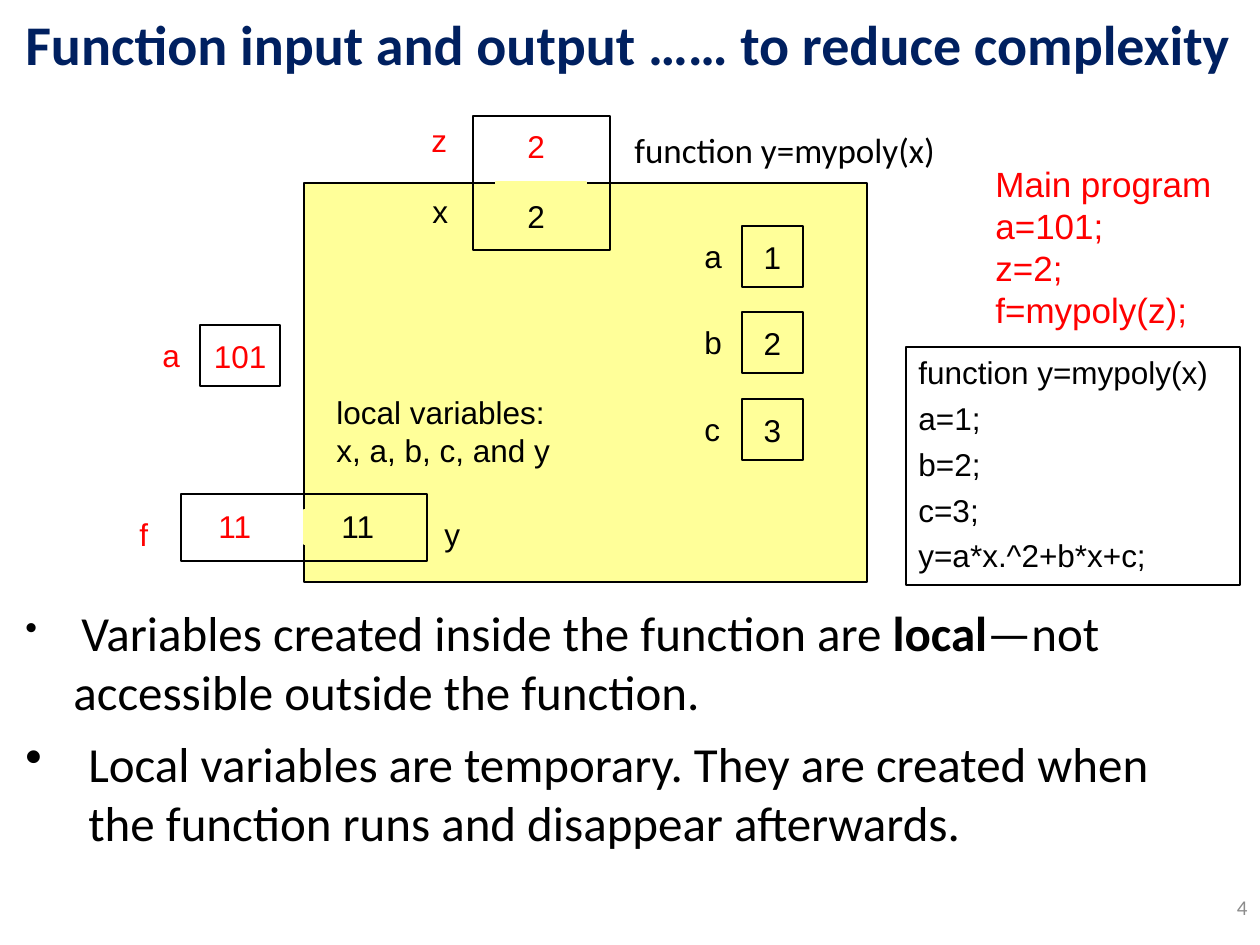
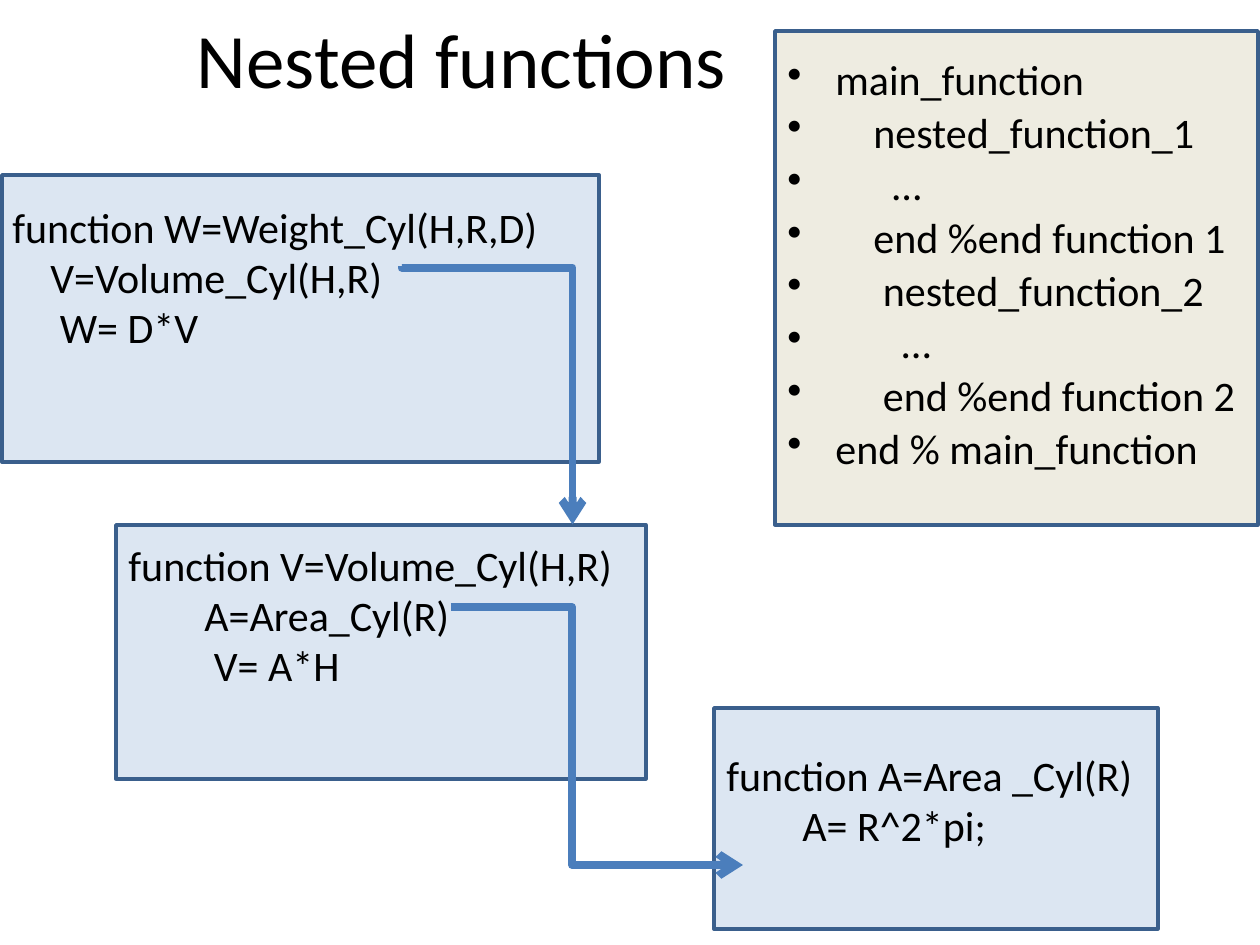
import pptx
import pptx.util
import pptx.dml.color
import pptx.enum.shapes
import pptx.enum.text
import pptx.oxml
import pptx.oxml.ns

# Shared scale, colours and fonts
SCALE = 914400 / 126
BLACK, RED, NAVY, GREY = "000000", "FF0000", "002060", "8C8C8C"
YELLOW, CREAM, PALE = "FFFF99", "EEECE1", "DCE6F2"
EDGE, ARROW = "3A5F8C", "4B7EBC"
SANS, BODY = "Arial", "Calibri"
SPACE = 9.5  # width of one code indent step
ALIGN = pptx.enum.text.PP_ALIGN
ANCHOR = pptx.enum.text.MSO_ANCHOR


def px(n):
    return pptx.util.Emu(round(n * SCALE))


def rgb(code):
    return pptx.dml.color.RGBColor.from_string(code)


def add_run(para, words, size, color, font, bold=False):
    run = para.add_run()
    run.text = words
    run.font.size = pptx.util.Pt(size)
    run.font.name = font
    run.font.bold = bold
    run.font.color.rgb = rgb(color)


def indent(para, left, hang=0, bullet=False):
    props = para._p.get_or_add_pPr()
    props.set("marL", str(px(left)))
    props.set("indent", str(-px(hang)))
    if bullet:
        mark = pptx.oxml.ns.qn("a:buChar")
        props.append(props.makeelement(mark, {"char": "•"}))


def write(shape, lines, size=18, color=BLACK, font=SANS, align=ALIGN.LEFT,
          anchor=ANCHOR.TOP, bold=False):
    """Fill a shape with one paragraph a line and return the paragraphs."""
    frame = shape.text_frame
    frame.word_wrap = True
    frame.vertical_anchor = anchor
    paras = []
    for i, line in enumerate(lines):
        para = frame.add_paragraph() if i else frame.paragraphs[0]
        para.alignment = align
        if line:
            add_run(para, line, size, color, font, bold)
        paras.append(para)
    return paras


def label(slide, box, *lines, **style):
    return write(slide.shapes.add_textbox(*map(px, box)), lines, **style)


def rect(slide, box, fill=None, line=BLACK, width=1):
    kind = pptx.enum.shapes.MSO_SHAPE.RECTANGLE
    shape = slide.shapes.add_shape(kind, *map(px, box))
    shape.shadow.inherit = False
    if fill:
        shape.fill.solid()
        shape.fill.fore_color.rgb = rgb(fill)
    else:
        shape.fill.background()
    shape.line.color.rgb = rgb(line)
    shape.line.width = pptx.util.Pt(width)
    return shape


def cell(slide, box, value, color=BLACK, fill=None):
    write(rect(slide, box, fill), [value], color=color,
          align=ALIGN.CENTER, anchor=ANCHOR.MIDDLE)


def code(paras, steps):
    for para, step in zip(paras, steps):
        indent(para, step * SPACE)


def elbow(slide, box, bend, turn=False):
    """Bent arrow; turn makes it start across and end downwards."""
    x, y, w, h = box
    kind = pptx.enum.shapes.MSO_CONNECTOR.ELBOW
    link = slide.shapes.add_connector(kind, px(x), px(y), px(x + w), px(y + h))
    link.line.color.rgb = rgb(ARROW)
    link.line.width = pptx.util.Pt(4.5)
    qn = pptx.oxml.ns.qn
    props = link._element.spPr
    if turn:
        frame = props.find(qn("a:xfrm"))
        frame.set("rot", "16200000")
        frame.set("flipH", "1")
    geom = props.find(qn("a:prstGeom"))
    guides = geom.find(qn("a:avLst"))
    guides.append(guides.makeelement(
        qn("a:gd"), {"name": "adj1", "fmla": f"val {bend}"}))
    line = props.find(qn("a:ln"))
    line.append(line.makeelement(qn("a:tailEnd"), {"type": "arrow"}))
    props.append(props.makeelement(qn("a:effectLst"), {}))


def title(slide, box, words, size, color, align, bold=False):
    label(slide, box, words, size=size, color=color, font=BODY,
          align=align, anchor=ANCHOR.MIDDLE, bold=bold)


def scope(slide):
    # Heading, page number and main program
    title(slide, (13, -35, 1247, 157),
          "Function input and output …… to reduce complexity",
          32, NAVY, ALIGN.LEFT, True)
    label(slide, (1197, 882, 63, 50), "4", size=12, color=GREY, font=BODY,
          align=ALIGN.RIGHT, anchor=ANCHOR.MIDDLE)
    label(slide, (983, 156, 253, 183), "Main program", "a=101;", "z=2;",
          "f=mypoly(z);", size=20, color=RED)

    # Function workspace with its input slot
    label(slide, (622, 122, 329, 93), "function y=mypoly(x)",
          size=20, font=BODY)
    rect(slide, (304, 183, 563, 399), YELLOW)
    for top in (116, 183):
        rect(slide, (473, top, 137, 67))
    rect(slide, (496, 182, 90, 39), YELLOW, YELLOW)
    for x, y, words, color in ((515, 121, "2", RED), (515, 191, "2", BLACK),
                               (419, 115, "z", RED), (420, 186, "x", BLACK)):
        label(slide, (x, y, 49, 50), words, color=color)

    # Local variables
    for i, name in enumerate("abc"):
        top = 226 + round(86.5 * i)
        cell(slide, (742, top, 61, 61), str(i + 1), fill=YELLOW)
        label(slide, (692, top + 5, 43, 50), name)
    label(slide, (324, 387, 346, 89), "local variables:", "x, a, b, c, and y")

    # Output slot
    for left, color in ((304, BLACK), (181, RED)):
        rect(slide, (left, 494, 123, 67))
        label(slide, (left + 25, 501, 69, 50), "11", color=color)
    rect(slide, (304, 510, 24, 34), YELLOW, YELLOW)
    label(slide, (432, 509, 49, 50), "y")
    label(slide, (127, 509, 49, 50), "f", color=RED)

    # Variable of the main program
    cell(slide, (200, 325, 80, 61), "101", RED)
    label(slide, (150, 330, 43, 50), "a", color=RED)

    # Function listing
    listing = rect(slide, (906, 347, 334, 238), width=0.75)
    for para in write(listing, ["function y=mypoly(x)", "a=1;", "b=2;",
                                "c=3;", "y=a*x.^2+b*x+c;"]):
        indent(para, 48, 48)
        para.space_before = pptx.util.Pt(4.6)

    # Remarks
    para, = label(slide, (13, 596, 1266, 131), "")
    indent(para, 48, 48, True)
    for words, size, bold in (
            (" ", 20, False),
            ("Variables created inside the function are ", 28, False),
            ("local", 28, True),
            ("—not accessible outside the function.", 28, False)):
        add_run(para, words, size, BLACK, BODY, bold)
    para, = label(slide, (13, 727, 1220, 131),
                  "Local variables are temporary. They are created when "
                  "the function runs and disappear afterwards.",
                  size=28, font=BODY)
    indent(para, 63, 63, True)


def nested(slide):
    style = {"size": 24, "font": BODY}

    # Outline of nesting
    rect(slide, (775, 31, 483, 494), CREAM, EDGE, 2)
    title(slide, (-105, -21, 1134, 157), "Nested functions",
          44, BLACK, ALIGN.CENTER)
    outline = (("main_function", 0), ("nested_function_1", 4), ("…", 6),
               ("end %end function 1", 4), ("nested_function_2", 5),
               ("…", 7), ("end %end function 2", 5),
               ("end % main_function", 0))
    paras = label(slide, (775, 53, 485, 504),
                  *[words for words, step in outline], **style)
    for para, (words, step) in zip(paras, outline):
        left = 48 + step * SPACE
        indent(para, left, left, True)
        para.line_spacing = 0.9
        para.space_before = pptx.util.Pt(4.2)

    # Function boxes
    rect(slide, (2, 175, 597, 287), PALE, EDGE, 2)
    rect(slide, (116, 525, 530, 254), PALE, EDGE, 2)
    area = rect(slide, (714, 708, 444, 221), PALE, EDGE, 2)
    area.text_frame.margin_top = px(41)
    code(write(area, ["function A=Area _Cyl(R)", "A= R^2*pi;"], **style),
         (0, 8))
    code(label(slide, (0, 195, 645, 165), "function W=Weight_Cyl(H,R,D)",
               "V=Volume_Cyl(H,R)", "W= D*V", **style), (0, 4, 5))
    code(label(slide, (116, 533, 588, 255), "function V=Volume_Cyl(H,R)",
               "A=Area_Cyl(R)", "V= A*H", **style), (0, 8, 9))

    # Calls
    elbow(slide, (358, 310, 258, 171), 500, True)
    elbow(slide, (451, 607, 292, 258), 41500)


def main():
    deck = pptx.Presentation()
    deck.slide_width, deck.slide_height = px(1260), px(945)
    for build in (scope, nested):
        build(deck.slides.add_slide(deck.slide_layouts[6]))
    deck.save("out.pptx")


main()
